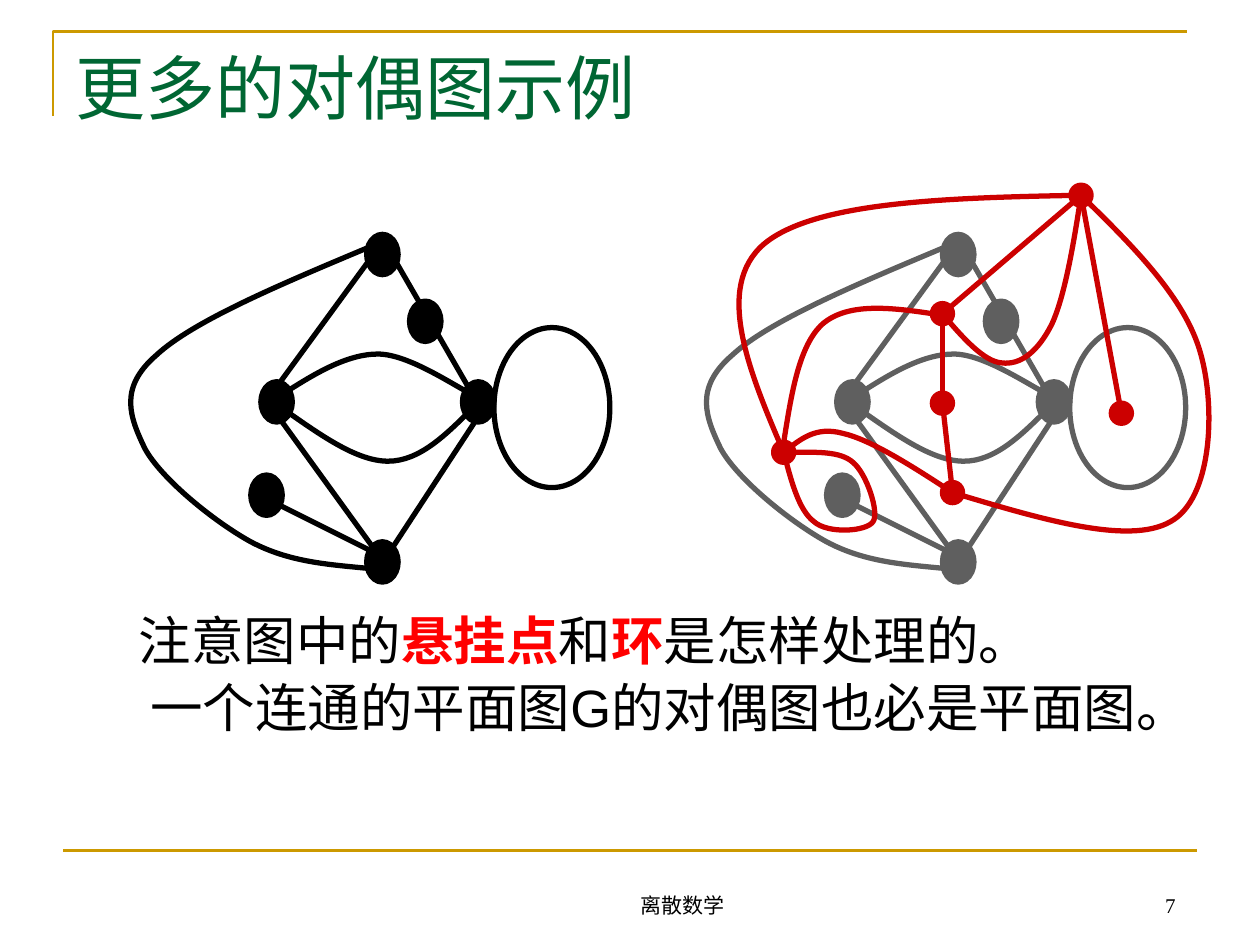
from lxml import etree
from pptx import Presentation
from pptx.dml.color import RGBColor
from pptx.enum.shapes import MSO_CONNECTOR, MSO_SHAPE
from pptx.enum.text import MSO_ANCHOR, MSO_AUTO_SIZE, PP_ALIGN
from pptx.oxml.ns import qn
from pptx.util import Inches, Pt

LINE, OVAL = MSO_CONNECTOR.STRAIGHT, MSO_SHAPE.OVAL
TOP, BOTTOM = MSO_ANCHOR.TOP, MSO_ANCHOR.BOTTOM
LEFT, CENTER, RIGHT = PP_ALIGN.LEFT, PP_ALIGN.CENTER, PP_ALIGN.RIGHT
FIXED = MSO_AUTO_SIZE.NONE

GOLD = RGBColor(0xCC, 0x99, 0x00)
GREEN = RGBColor(0x00, 0x66, 0x33)
BLACK = RGBColor(0x00, 0x00, 0x00)
WHITE = RGBColor(0xFF, 0xFF, 0xFF)
GRAY = RGBColor(0x5F, 0x5F, 0x5F)
CRIMSON = RGBColor(0xCC, 0x00, 0x00)
RED = RGBColor(0xFF, 0x00, 0x00)
SERIF, SANS = "Times New Roman", "Arial"

# Plane graph: vertex corners, straight edges and curved edges, in inches
NODES = [(1.97, 0), (2.31, 0.53), (1.97, 2.44), (1.05, 1.91)]
HUBS = [(1.13, 1.17), (2.73, 1.17)]
EDGES = [
    ((1.22, 2.12), (2.06, 2.54)), ((2.9, 1.38), (2.14, 2.54)),
    ((2.06, 0.11), (1.22, 1.26)), ((2.14, 0.11), (2.81, 1.27)),
    ((1.22, 1.38), (2.14, 2.65)),
]
OUTER = [(1.97, 0.11), (1.28, 0.4), (0.59, 0.69), (0.3, 0.96),
         (0, 1.22), (0.09, 1.45), (0.21, 1.7), (0.34, 1.94), (0.76, 2.28),
         (1.05, 2.44), (1.35, 2.6), (1.66, 2.62), (1.97, 2.65)]
ARCS = [
    [(1.3, 1.27), (1.55, 1.11), (1.81, 0.95), (2.06, 0.95),
     (2.31, 0.95), (2.69, 1.22), (2.81, 1.27)],
    [(1.3, 1.38), (1.6, 1.59), (1.89, 1.8), (2.14, 1.8),
     (2.39, 1.8), (2.6, 1.59), (2.81, 1.38)],
]

# Dual graph: one vertex centre per face
SKY, ROOF, MID, LOOP = (2.91, 0.08), (1.81, 1.02), (1.81, 1.73), (3.23, 1.81)
WEST, BASE = (0.55, 2.12), (1.89, 2.44)
LINKS = [(SKY, LOOP), (SKY, ROOF), (ROOF, MID), (MID, BASE)]
BENDS = [
    [SKY, (1.85, 0.1), (0.79, 0.13), (0.39, 0.47),
     (0, 0.81), (0.27, 1.47), WEST],
    [ROOF, (1.97, 1.21), (2.14, 1.4), (2.28, 1.41), (2.43, 1.43),
     (2.57, 1.32), (2.68, 1.1), (2.78, 0.88), (2.85, 0.48), SKY],
    [(1.73, 1.02), (1.4, 0.97), (1.06, 0.93), (0.86, 1.1),
     (0.67, 1.27), (0.61, 1.66), (0.55, 2.04)],
    [(0.63, 2.12), (0.81, 2.12), (1, 2.11), (1.1, 2.2), (1.21, 2.29),
     (1.31, 2.6), (1.26, 2.67), (1.21, 2.75), (0.9, 2.77), (0.79, 2.67),
     (0.67, 2.58), (0.61, 2.35), WEST],
    [BASE, (1.57, 2.23), (1.24, 2.02), (1.02, 1.97),
     (0.8, 1.91), (0.68, 2.02), WEST],
    [SKY, (3.33, 0.49), (3.74, 0.9), (3.86, 1.34), (3.98, 1.77),
     (3.95, 2.49), (3.62, 2.67), (3.29, 2.86), (2.59, 2.65), BASE],
]


def paint(shape, color, fill=None, width=3):
    shape.shadow.inherit = False
    if fill is None:
        shape.fill.background()
    else:
        shape.fill.solid()
        shape.fill.fore_color.rgb = fill
    shape.line.color.rgb = color
    shape.line.width = Pt(width)


def add_oval(shapes, x, y, w, h, color, fill):
    paint(shapes.add_shape(OVAL, Inches(x), Inches(y), Inches(w), Inches(h)),
          color, fill)


def add_line(shapes, x, y, start, end, color, width=3):
    line = shapes.add_connector(
        LINE, Inches(x + start[0]), Inches(y + start[1]),
        Inches(x + end[0]), Inches(y + end[1]))
    line.line.color.rgb = color
    line.line.width = Pt(width)
    etree.SubElement(line._element.spPr, qn("a:effectLst"))


def add_path(shapes, x, y, points):
    first, *rest = [(Inches(x + px), Inches(y + py)) for px, py in points]
    pen = shapes.build_freeform(*first)
    pen.add_line_segments(rest, close=False)
    return pen.convert_to_shape()


def add_curve(shapes, x, y, points, color, fill=None):
    """Turn each three segments of a path into one Bezier curve."""
    shape = add_path(shapes, x, y, points)
    path = next(shape._element.iter(qn("a:path")))
    steps = path.findall(qn("a:lnTo"))
    for i in range(0, len(steps), 3):
        curve = etree.SubElement(path, qn("a:cubicBezTo"))
        for step in steps[i:i + 3]:
            curve.append(step[0])
            path.remove(step)
    paint(shape, color, fill)


def draw_graph(slide, x, y, color):
    shapes = slide.shapes.add_group_shape().shapes

    def add_nodes(spots):
        for dx, dy in spots:
            add_oval(shapes, x + dx, y + dy, 0.25, 0.32, color, color)

    add_curve(shapes, x, y, OUTER, color, WHITE)
    add_nodes(NODES)
    add_oval(shapes, x + 2.98, y + 0.74, 0.92, 1.27, color, WHITE)
    for arc in ARCS:
        add_curve(shapes, x, y, arc, color, WHITE)
    for start, end in EDGES:
        add_line(shapes, x, y, start, end, color)
    add_nodes(HUBS)


def draw_dual(slide, x, y):
    shapes = slide.shapes
    for dx, dy in (SKY, ROOF, MID, LOOP, WEST, BASE):
        add_oval(shapes, x + dx - 0.08, y + dy - 0.08, 0.16, 0.16,
                 CRIMSON, CRIMSON)
    for start, end in LINKS:
        add_line(shapes, x, y, start, end, CRIMSON)
    for bend in BENDS:
        add_curve(shapes, x, y, bend, CRIMSON)


def draw_frame(slide, x, y):
    corner = add_path(slide.shapes, x, y, [(0, 0.67), (0, 0), (9, 0)])
    paint(corner, GOLD, width=1.5)
    add_line(slide.shapes, x, y, (0.08, 6.5), (9.08, 6.5), GOLD, 1.5)


def place(shape, x, y, w, h, anchor):
    shape.left, shape.top = Inches(x), Inches(y)
    shape.width, shape.height = Inches(w), Inches(h)
    frame = shape.text_frame
    frame.word_wrap, frame.auto_size = True, FIXED
    frame.vertical_anchor = anchor
    return frame


def style(run, name, size, color, bold=False):
    run.font.name, run.font.size = name, Pt(size)
    run.font.color.rgb, run.font.bold = color, bold


def write(frame, text, size, color, align):
    frame.text = text
    para = frame.paragraphs[0]
    para.alignment = align
    style(para.runs[0], SERIF, size, color)


def fill_body(shape, x, y, w, h):
    frame = place(shape, x, y, w, h, TOP)
    lines = [
        [("注意图中的", False), ("悬挂点", True), ("和", False),
         ("环", True), ("是怎样处理的。", False)],
        [(" 一个连通的平面图G的对偶图也必是平面图。", False)],
    ]
    for i, parts in enumerate(lines):
        para = frame.add_paragraph() if i else frame.paragraphs[0]
        props = para._p.get_or_add_pPr()
        props.set("marL", str(Inches(0.38)))
        props.set("indent", str(-Inches(0.38)))
        etree.SubElement(props, qn("a:buNone"))
        para.line_spacing = 0.9
        para.space_before = Pt(6 if i else 0)
        for text, key in parts:
            run = para.add_run()
            run.text = text
            style(run, SANS, 30, RED if key else BLACK, key)


def add_note(slide, text, x, y, w, h, align):
    box = slide.shapes.add_textbox(0, 0, 0, 0)
    write(place(box, x, y, w, h, BOTTOM), text, 12, BLACK, align)


def main():
    deck = Presentation()
    deck.slide_width, deck.slide_height = Inches(10), Inches(7.5)
    slide = deck.slides.add_slide(deck.slide_layouts[1])
    # Frame and text
    draw_frame(slide, 0.42, 0.25)
    title = place(slide.shapes.title, 0.5, 0.3, 9, 0.95, TOP)
    write(title, "更多的对偶图示例", 40, GREEN, LEFT)
    fill_body(slide.placeholders[1], 1, 4.83, 8.67, 1.17)
    # Graph alone, then the graph under its dual
    draw_graph(slide, 0.94, 1.86, BLACK)
    draw_graph(slide, 5.51, 1.86, GRAY)
    draw_dual(slide, 5.67, 1.47)
    # Footer
    add_note(slide, "离散数学", 3.83, 6.83, 3.17, 0.5, CENTER)
    add_note(slide, "7", 8.33, 6.83, 1.1, 0.5, RIGHT)
    deck.save("out.pptx")


if __name__ == "__main__":
    main()
